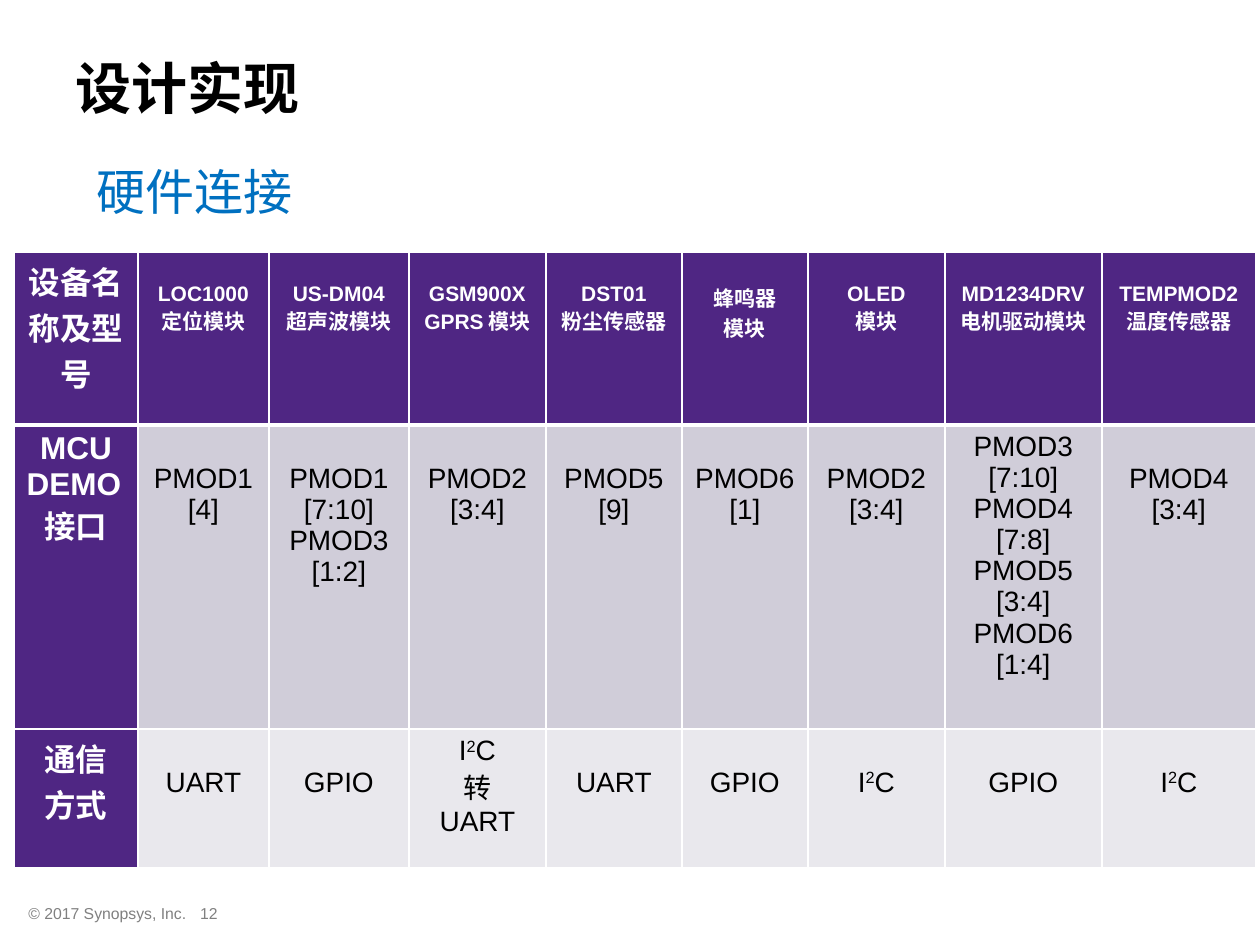
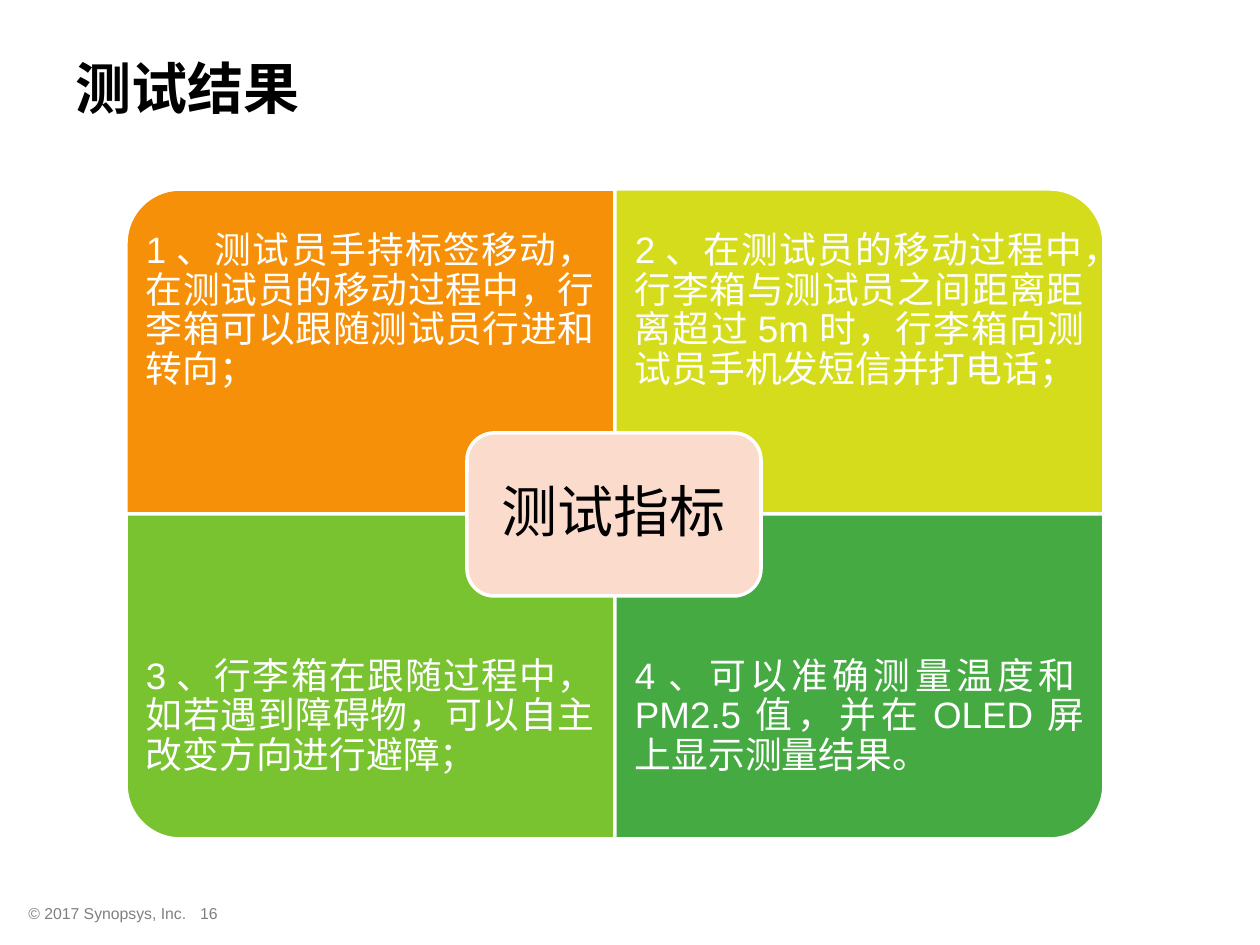
import lxml.etree
import pptx
import pptx.dml.color
import pptx.enum.shapes
import pptx.enum.text
import pptx.oxml.ns
import pptx.util

PX = pptx.util.Inches(1) / 126
FONT = "Arial"
WHITE, BLACK, GREY, BLUE = "FFFFFF", "000000", "808080", "0070C0"
PURPLE, LILAC, PALE_LILAC, PEACH = "4F2683", "D0CDD9", "E9E8ED", "FBDBCC"
ALIGN = pptx.enum.text.PP_ALIGN
MIDDLE = pptx.enum.text.MSO_ANCHOR.MIDDLE
SHAPES = pptx.enum.shapes.MSO_SHAPE

COLUMN_WIDTHS = [124, 131, 140, 137, 136, 126, 137, 157, 154]
ROW_HEIGHTS = [173, 304, 139]
HEADINGS = ["设备名称及型号", "LOC1000\n定位模块", "US-DM04\n超声波模块", "GSM900X\nGPRS模块",
            "DST01\n粉尘传感器", "蜂鸣器\n模块", "OLED\n模块",
            "MD1234DRV\n电机驱动模块", "TEMPMOD2\n温度传感器"]
PORTS = ["MCU DEMO接口", "PMOD1\n[4]", "PMOD1\n[7:10]\nPMOD3\n[1:2]", "PMOD2\n[3:4]",
         "PMOD5\n[9]", "PMOD6\n[1]", "PMOD2\n[3:4]",
         "PMOD3\n[7:10]\nPMOD4\n[7:8]\nPMOD5\n[3:4]\nPMOD6\n[1:4]", "PMOD4\n[3:4]"]
PROTOCOLS = ["通信\n方式", "UART", "GPIO", "I²C\n转\nUART", "UART", "GPIO", "I²C", "GPIO", "I²C"]
TOP_ALIGNED_CELLS = {(1, 7), (2, 3)}

QUADRANTS = [
    ("F69008", 270, "1、测试员手持标签移动，在测试员的移动过程中，行李箱可以跟随测试员行进和转向；"),
    ("D5DC1C", 0, "2、在测试员的移动过程中，行李箱与测试员之间距离距离超过5m时，行李箱向测试员手机发短信并打电话；"),
    ("79C230", 180, "3、行李箱在跟随过程中，如若遇到障碍物，可以自主改变方向进行避障；"),
    ("46AA42", 90, "4、可以准确测量温度和PM2.5值，并在OLED屏上显示测量结果。"),
]


def px(length):
    """Turn px into EMU."""
    return pptx.util.Emu(round(length * PX))


def box(*lengths):
    """Turn left, top, width and height into EMU."""
    return [px(length) for length in lengths]


def colour(value):
    """Turn a hex string into a colour."""
    return pptx.dml.color.RGBColor.from_string(value)


def write(text_frame, text, size, text_colour, bold=False, align=ALIGN.LEFT, spacing=None):
    """Write one paragraph per line, raising any ² as a superscript."""
    text_frame.word_wrap = True
    text_frame.text = text
    for paragraph in text_frame.paragraphs:
        paragraph.alignment = align
        paragraph.line_spacing = spacing
        before, mark, after = paragraph.text.partition("²")
        if mark:
            paragraph.text = before
            paragraph.add_run().text = "2"
            paragraph.add_run().text = after
            paragraph.runs[1].font._element.set("baseline", "30000")
        for run in paragraph.runs:
            run.font.name = FONT
            run.font.size = pptx.util.Pt(size)
            run.font.bold = bold
            run.font.color.rgb = colour(text_colour)


def add_text(slide, place, text, size, text_colour, inset=None, **style):
    """Add a text box, centred vertically when it has an inset."""
    text_frame = slide.shapes.add_textbox(*box(*place)).text_frame
    write(text_frame, text, size, text_colour, **style)
    if inset:
        set_insets(text_frame, inset)


def set_insets(text_frame, inset):
    """Centre the text vertically within equal insets."""
    text_frame.vertical_anchor = MIDDLE
    text_frame.margin_left = text_frame.margin_right = px(inset)
    text_frame.margin_top = text_frame.margin_bottom = px(inset)


def add_panel(slide, kind, place, fill):
    """Add a filled shape with a white outline."""
    shape = slide.shapes.add_shape(kind, *box(*place))
    shape.shadow.inherit = False
    shape.fill.solid()
    shape.fill.fore_color.rgb = colour(fill)
    shape.line.color.rgb = colour(WHITE)
    shape.line.width = pptx.util.Pt(2)
    return shape


def add_quadrant(slide, left, top, fill, rotation, text):
    """Add a panel with one rounded outer corner and its text."""
    width, height, text_height = 489, 325, 244
    place = (left, top, width, height)
    if rotation % 180:
        offset = (width - height) / 2
        place = (left + offset, top - offset, height, width)
    add_panel(slide, SHAPES.ROUND_1_RECTANGLE, place, fill).rotation = rotation
    is_lower = rotation in (90, 180)
    text_top = top + (height - text_height if is_lower else 0)
    add_text(slide, (left, text_top, width, text_height), text, 21, WHITE,
             inset=20, align=ALIGN.JUSTIFY, spacing=0.9)


def set_borders(cell, top, bottom):
    """Give a cell white borders, with its own top and bottom widths."""
    properties = cell._tc.get_or_add_tcPr()
    for side, width in (("L", 1), ("R", 1), ("T", top), ("B", bottom)):
        line = lxml.etree.SubElement(properties, pptx.oxml.ns.qn("a:ln" + side))
        line.set("w", str(pptx.util.Pt(width)))
        solid = lxml.etree.SubElement(line, pptx.oxml.ns.qn("a:solidFill"))
        lxml.etree.SubElement(solid, pptx.oxml.ns.qn("a:srgbClr")).set("val", WHITE)


def format_cell(cell, row, column, text):
    """Fill, outline and write one cell of the connection table."""
    is_heading = row == 0 or column == 0
    size = 18 if column == 0 else 12 if row == 0 else 16
    set_borders(cell, top=3 if row == 1 else 1, bottom=3 if row == 0 else 1)
    cell.fill.solid()
    cell.fill.fore_color.rgb = colour(PURPLE if is_heading else (LILAC, PALE_LILAC)[row - 1])
    if column and (row, column) not in TOP_ALIGNED_CELLS:
        cell.margin_top = px(30 if row == 0 else 38)
    write(cell.text_frame, text, size, WHITE if is_heading else BLACK, is_heading, ALIGN.CENTER)


def add_connection_table(slide, left, top):
    """Add the table of modules, ports and protocols."""
    rows = [HEADINGS, PORTS, PROTOCOLS]
    place = box(left, top, sum(COLUMN_WIDTHS), sum(ROW_HEIGHTS))
    table = slide.shapes.add_table(len(rows), len(HEADINGS), *place).table
    table.first_row = table.horz_banding = False
    for column, width in zip(table.columns, COLUMN_WIDTHS):
        column.width = px(width)
    for row, height in zip(table.rows, ROW_HEIGHTS):
        row.height = px(height)
    for row, texts in enumerate(rows):
        for column, text in enumerate(texts):
            format_cell(table.cell(row, column), row, column, text)


def add_slide(presentation, title_text, number):
    """Add a slide with its title and footer."""
    slide = presentation.slides.add_slide(presentation.slide_layouts[5])
    title = slide.shapes.title
    title.left, title.top, title.width, title.height = box(63, 9, 1197, 157)
    write(title.text_frame, title_text, 32, BLACK, bold=True)
    title.text_frame.vertical_anchor = MIDDLE
    title.text_frame.auto_size = pptx.enum.text.MSO_AUTO_SIZE.NONE
    add_text(slide, (16, 898, 388, 32), "© 2017 Synopsys, Inc.", 9, GREY)
    add_text(slide, (165, 898, 88, 32), str(number), 9, GREY, align=ALIGN.CENTER)
    return slide


def add_hardware_slide(presentation):
    """Add the slide on hardware connections."""
    slide = add_slide(presentation, "设计实现", 12)
    add_text(slide, (84, 155, 1134, 80), "硬件连接", 28, BLUE)
    add_connection_table(slide, 14, 252)


def add_results_slide(presentation):
    """Add the slide on test results."""
    slide = add_slide(presentation, "测试结果", 16)
    for index, quadrant in enumerate(QUADRANTS):
        row, column = divmod(index, 2)
        add_quadrant(slide, 126 + 489 * column, 189 + 325 * row, *quadrant)
    centre = add_panel(slide, SHAPES.ROUNDED_RECTANGLE, (467, 433, 294, 163), PEACH)
    write(centre.text_frame, "测试指标", 32, BLACK, align=ALIGN.CENTER, spacing=0.9)
    set_insets(centre.text_frame, 16)


def main():
    """Build and save the presentation."""
    presentation = pptx.Presentation()
    presentation.slide_width, presentation.slide_height = px(1260), px(945)
    add_hardware_slide(presentation)
    add_results_slide(presentation)
    presentation.save("out.pptx")


if __name__ == "__main__":
    main()
